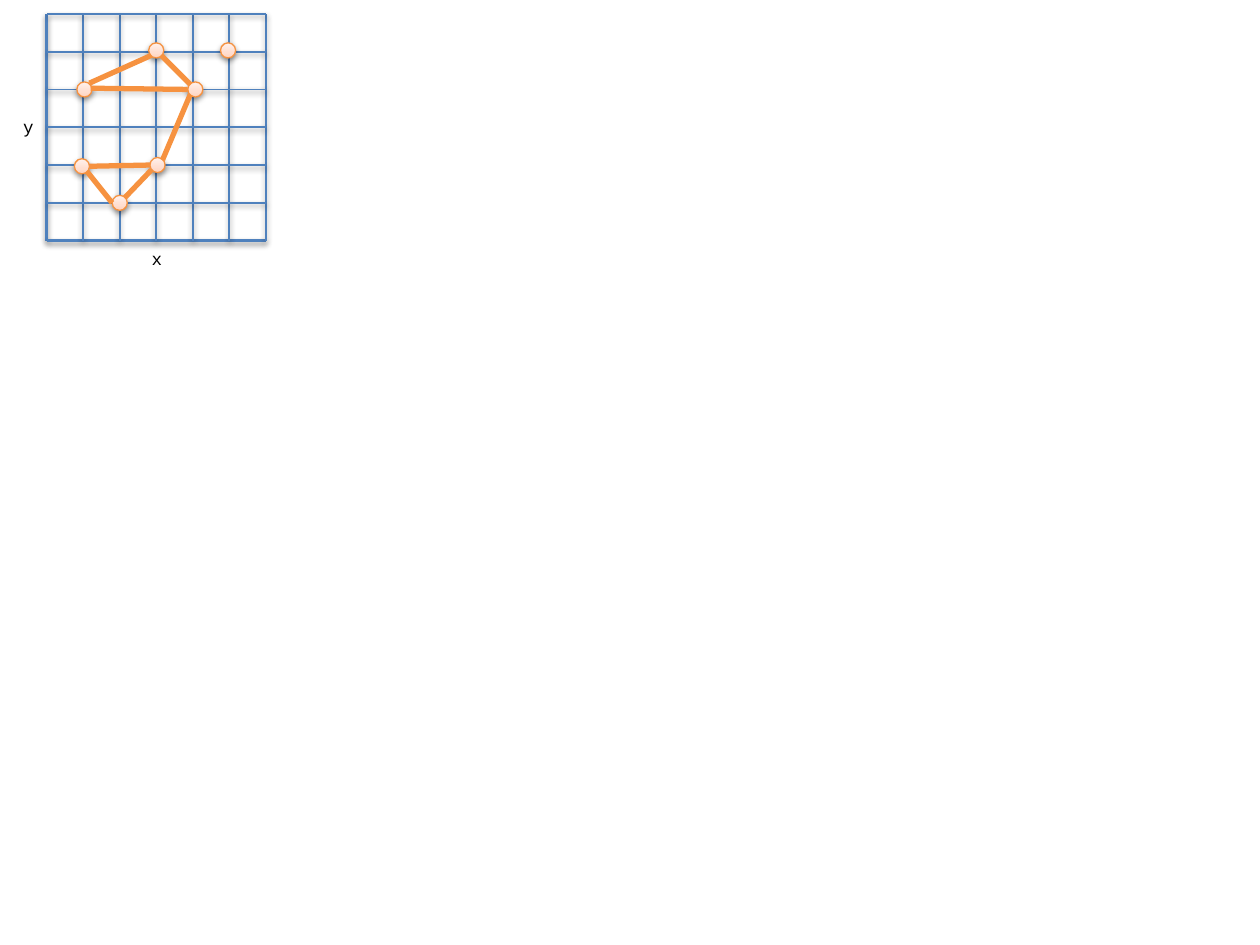
from lxml.etree import SubElement
from pptx import Presentation
from pptx.dml.color import RGBColor
from pptx.enum.shapes import MSO_CONNECTOR, MSO_SHAPE
from pptx.enum.text import MSO_AUTO_SIZE, PP_ALIGN
from pptx.oxml.ns import qn
from pptx.util import Inches, Pt

COLORS = {"grid": "4F81BD", "edge": "F69240", "text": "000000", "shadow": "000000"}
NODE_STOPS = [(0, "FFD2BD"), (35, "FFDED0"), (100, "FFF2ED")]
LEFT, TOP, RIGHT, BOTTOM = 0.37, 0.11, 2.11, 1.91
CELLS = 6
NODE_SIZE = 0.12
NODES = [(0.59, 1.26), (0.89, 1.55), (1.19, 1.25), (1.18, 0.34), (1.49, 0.65), (0.61, 0.65)]
LONE_NODE = (1.75, 0.34)
EDGES = [
    ((0.69, 1.36), (0.89, 1.61)),
    ((0.99, 1.57), (1.2, 1.35)),
    ((0.71, 1.32), (1.19, 1.31)),
    ((1.29, 1.27), (1.51, 0.75)),
    ((0.72, 0.7), (1.49, 0.71)),
    ((0.71, 0.66), (1.2, 0.44)),
    ((1.51, 0.67), (1.28, 0.44)),
]


def write_text(frame, text, size=10, font="Courier New", color="text", align=PP_ALIGN.CENTER):
    para = frame.paragraphs[0]
    para.alignment = align
    span = para.add_run()
    span.text = text
    span.font.size = Pt(size)
    span.font.name = font
    span.font.color.rgb = RGBColor.from_string(COLORS[color])


class GraphSlide:
    """Draws the parts of a node graph on a grid, in one style."""

    def __init__(self, slide):
        self.shapes = slide.shapes

    def effects(self, shape, shadow):
        effects = SubElement(shape._element.spPr, qn("a:effectLst"))
        if shadow:
            outer = SubElement(effects, qn("a:outerShdw"), blurRad=str(Pt(3.1)),
                               dist=str(Pt(1.6)), dir="5400000", rotWithShape="0")
            color = SubElement(outer, qn("a:srgbClr"), val=COLORS["shadow"])
            SubElement(color, qn("a:alpha"), val="38000")

    def line(self, start, end, color="grid", width=1, shadow=True):
        points = [Inches(value) for value in (*start, *end)]
        line = self.shapes.add_connector(MSO_CONNECTOR.STRAIGHT, *points)
        line.line.color.rgb = RGBColor.from_string(COLORS[color])
        line.line.width = Pt(width)
        self.effects(line, shadow)

    def node(self, left, top):
        size = Inches(NODE_SIZE)
        node = self.shapes.add_shape(MSO_SHAPE.OVAL, Inches(left), Inches(top), size, size)
        node.fill.gradient()
        node.fill.gradient_angle = 90
        stops = node._element.spPr.find(".//" + qn("a:gsLst"))
        stops.clear()
        for position, color in NODE_STOPS:
            stop = SubElement(stops, qn("a:gs"), pos=str(position * 1000))
            SubElement(stop, qn("a:srgbClr"), val=color)
        node.line.color.rgb = RGBColor.from_string(COLORS["edge"])
        node.line.width = Pt(0.75)
        self.effects(node, True)

    def label(self, text, left, top):
        box = self.shapes.add_textbox(Inches(left), Inches(top), Inches(0.29), Inches(0.27))
        box.text_frame.word_wrap = False
        box.text_frame.auto_size = MSO_AUTO_SIZE.SHAPE_TO_FIT_TEXT
        write_text(box.text_frame, text)


deck = Presentation()
deck.slide_width, deck.slide_height = Inches(10), Inches(7.5)
page = GraphSlide(deck.slides.add_slide(deck.slide_layouts[6]))

page.line((LEFT, TOP), (LEFT, BOTTOM), width=2)
page.line((RIGHT, BOTTOM), (LEFT, BOTTOM), width=2)
for column in range(1, CELLS + 1):
    x = LEFT + column * (RIGHT - LEFT) / CELLS
    page.line((x, TOP), (x, BOTTOM))
for row in range(1, CELLS + 1):
    y = BOTTOM - row * (BOTTOM - TOP) / CELLS
    page.line((RIGHT, y), (LEFT, y))

for left, top in NODES:
    page.node(left, top)
for start, end in EDGES:
    page.line(start, end, color="edge", width=3, shadow=False)
page.node(*LONE_NODE)

page.label("x", 1.1, 1.92)
page.label("y", 0.08, 0.87)

deck.save("out.pptx")
